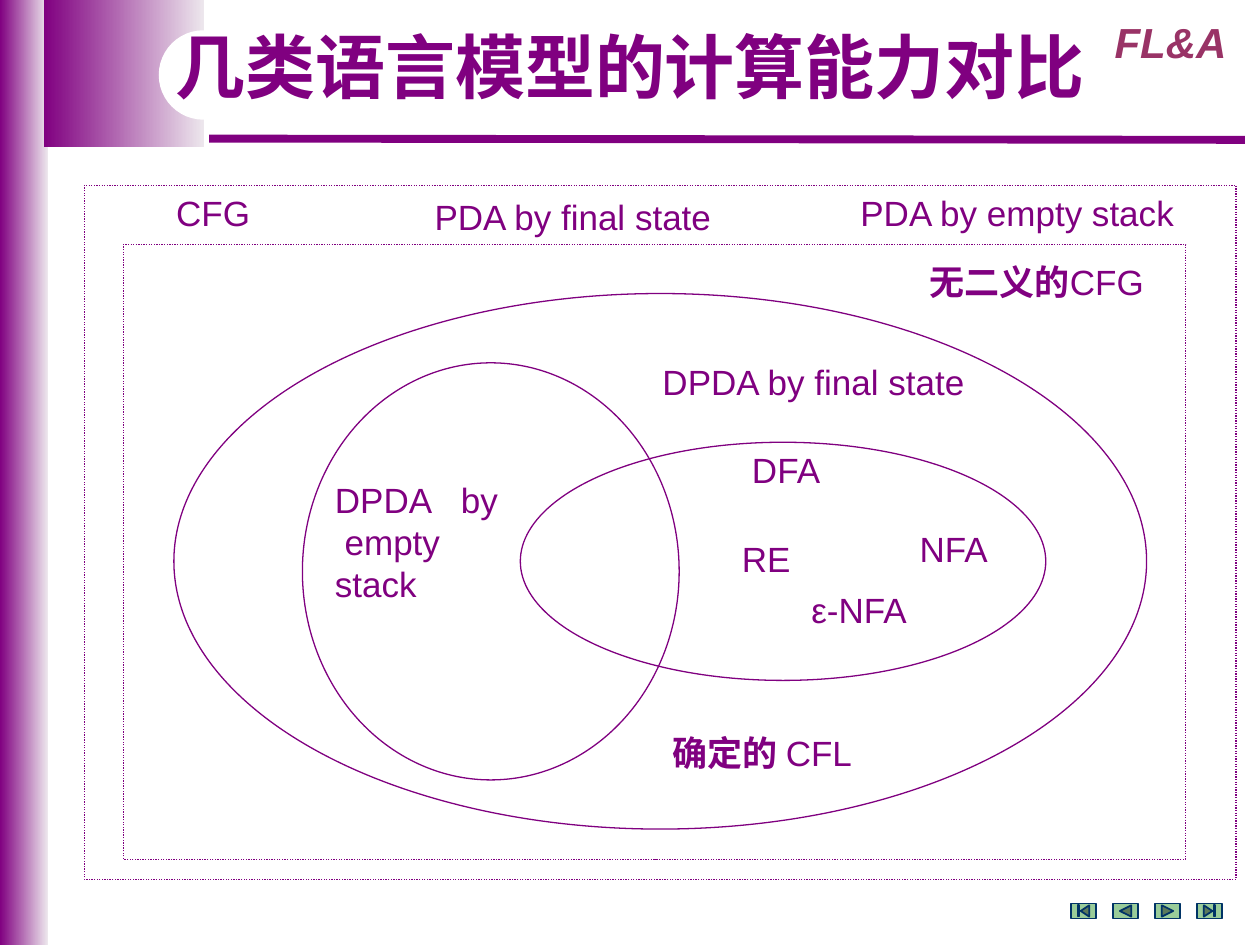
import lxml.etree
import pptx
import pptx.dml.color
import pptx.enum.dml
import pptx.enum.shapes
import pptx.enum.text
import pptx.oxml.ns
import pptx.util

PURPLE = pptx.dml.color.RGBColor(0x80, 0x00, 0x80)
PALE = pptx.dml.color.RGBColor(0xED, 0xE7, 0xED)
WINE = pptx.dml.color.RGBColor(0x99, 0x33, 0x66)
WHITE = pptx.dml.color.RGBColor(0xFF, 0xFF, 0xFF)
GREEN = pptx.dml.color.RGBColor(0x99, 0xCC, 0x99)
NAVY = pptx.dml.color.RGBColor(0x00, 0x33, 0x66)

SHAPE = pptx.enum.shapes.MSO_SHAPE
ALIGN = pptx.enum.text.PP_ALIGN
ANCHOR = pptx.enum.text.MSO_ANCHOR
DOTTED = pptx.enum.dml.MSO_LINE.ROUND_DOT

COLUMNS, ROWS = 100, 75
BODY = {"name": "Arial", "size": pptx.util.Pt(20), "bold": False, "italic": False}


def apply(target, values):
    for name, value in values.items():
        setattr(target, name, value)


class Painter:
    def __init__(self, deck):
        self.column = deck.slide_width / COLUMNS
        self.row = deck.slide_height / ROWS
        self.page = deck.slides.add_slide(deck.slide_layouts[6])

    def place(self, *cells):
        units = (self.column, self.row) * 2
        return [round(cell * unit) for cell, unit in zip(cells, units)]

    def shape(self, kind, cells, fill=None, line=None, width=0.75, dash=None):
        shape = self.page.shapes.add_shape(kind, *self.place(*cells))
        shape.shadow.inherit = False
        if fill is None:
            shape.fill.background()
        else:
            shape.fill.solid()
            shape.fill.fore_color.rgb = fill
        if line is None:
            shape.line.fill.background()
        else:
            shape.line.color.rgb = line
            apply(shape.line, {"width": pptx.util.Pt(width), "dash_style": dash})
        return shape

    def gradient(self, cells):
        fill = self.shape(SHAPE.RECTANGLE, cells).fill
        fill.gradient()
        fill.gradient_angle = 0
        for stop, color, position in zip(fill.gradient_stops, (PURPLE, PALE), (0, 1)):
            stop.color.rgb = color
            stop.position = position

    def rule(self, cells, color, width):
        kind = pptx.enum.shapes.MSO_CONNECTOR.STRAIGHT
        line = self.page.shapes.add_connector(kind, *self.place(*cells))
        line.line.color.rgb = color
        line.line.width = pptx.util.Pt(width)
        properties = line._element.spPr
        lxml.etree.SubElement(properties, pptx.oxml.ns.qn("a:effectLst"))

    def text(self, cells, *spans, color=PURPLE, frame=None, layout=None, **font):
        box = self.page.shapes.add_textbox(*self.place(*cells)).text_frame
        apply(box, {"word_wrap": True, **(frame or {})})
        para = box.paragraphs[0]
        apply(para, layout or {})
        for words, bold in spans:
            for index, line in enumerate(words.split("\n")):
                if index:
                    para.add_line_break()
                span = para.add_run()
                span.text = line
                apply(span.font, {**BODY, "bold": bold, **font})
                span.font.color.rgb = color


def draw_background(painter):
    painter.gradient((0, 0, 3.8, 75))
    painter.gradient((3.5, 0, 12.7, 11.7))
    painter.rule((16.6, 11, 98.8, 11.1), PURPLE, 4.5)
    painter.text((86.6, 0.8, 12.6, 5), ("FL&A", True), color=WINE,
                 layout={"alignment": ALIGN.CENTER},
                 size=pptx.util.Pt(24), italic=True)
    cap = painter.shape(SHAPE.ROUNDED_RECTANGLE, (12.6, 2.4, 36.2, 7.1), fill=WHITE)
    cap.adjustments[0] = 0.5
    painter.text((11.4, 2.1, 77.2, 7), ("几类语言模型的计算能力对比", True),
                 frame={"vertical_anchor": ANCHOR.MIDDLE},
                 layout={"alignment": ALIGN.CENTER, "line_spacing": 0.9},
                 size=pptx.util.Pt(40))


def draw_classes(painter):
    for cells in ((6.7, 14.7, 91.4, 55.1), (9.8, 19.4, 84.3, 48.8)):
        painter.shape(SHAPE.RECTANGLE, cells, line=PURPLE, dash=DOTTED)
    for cells in ((13.8, 23.3, 77.2, 42.5), (24, 28.8, 29.9, 33.1),
                  (41.3, 35.1, 41.7, 18.9)):
        painter.shape(SHAPE.OVAL, cells, line=PURPLE)


def draw_labels(painter):
    labels = (
        (13, 14.7, 8.7, "CFG"),
        (33.5, 15, 33.1, "PDA by final state"),
        (67.3, 14.7, 28.3, "PDA by empty stack"),
        (51.6, 28.1, 27.6, "DPDA by final state"),
        (58.7, 35.1, 15, "DFA"),
        (57.9, 42.2, 6.3, "RE"),
        (72, 41.4, 7.9, "NFA"),
        (63.4, 46.2, 10.2, "ε-NFA"),
    )
    for left, top, width, words in labels:
        painter.text((left, top, width, 4.3), (words, False))
    painter.text((25.6, 37.5, 15, 11), ("DPDA\tby\n empty\nstack", False))
    painter.text((72.8, 20.2, 20.5, 4.3), ("无二义的", True), ("CFG", False))
    painter.text((52.4, 57.6, 18.1, 4.3), ("确定的 ", True), ("CFL", False))


def draw_buttons(painter):
    kinds = (SHAPE.ACTION_BUTTON_BEGINNING, SHAPE.ACTION_BUTTON_BACK_OR_PREVIOUS,
             SHAPE.ACTION_BUTTON_FORWARD_OR_NEXT, SHAPE.ACTION_BUTTON_END)
    for index, kind in enumerate(kinds):
        painter.shape(kind, (85 + index * 10 / 3, 71.7, 2, 1.2),
                      fill=GREEN, line=NAVY, width=1)


def main():
    deck = pptx.Presentation()
    apply(deck, {"slide_width": pptx.util.Inches(10),
                 "slide_height": pptx.util.Inches(7.5)})
    painter = Painter(deck)
    for draw in (draw_background, draw_classes, draw_labels, draw_buttons):
        draw(painter)
    deck.save("out.pptx")


if __name__ == "__main__":
    main()
